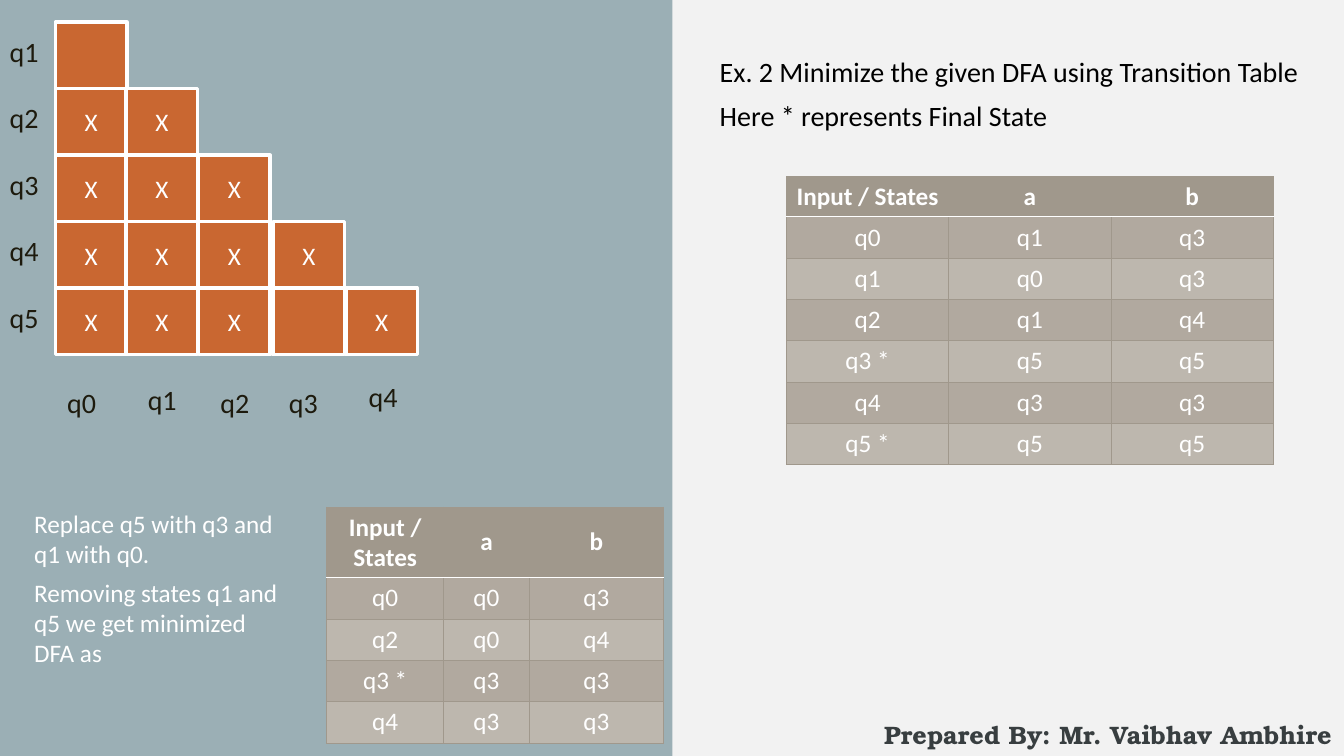
import lxml.etree
import pptx
import pptx.dml.color
import pptx.enum.shapes
import pptx.enum.text
import pptx.oxml.ns
import pptx.util

Inches = pptx.util.Inches
Pt = pptx.util.Pt
CENTER = pptx.enum.text.PP_ALIGN.CENTER
LEFT = pptx.enum.text.PP_ALIGN.LEFT
MIDDLE = pptx.enum.text.MSO_ANCHOR.MIDDLE


def color(value):
    return pptx.dml.color.RGBColor.from_string(value)


def write(frame, text, size=18, ink="FFFFFF", font="Calibri", bold=False,
          align=CENTER, before=0, after=0, line_spacing=None):
    """Fill a text frame, one paragraph per line of text."""
    for index, line in enumerate(text.split("\n")):
        paragraph = frame.paragraphs[0] if index == 0 else frame.add_paragraph()
        paragraph.alignment = align
        paragraph.space_before, paragraph.space_after = Pt(before), Pt(after)
        paragraph.line_spacing = line_spacing
        run = paragraph.add_run()
        run.text = line
        run.font.size, run.font.name, run.font.bold = Pt(size), font, bold
        run.font.color.rgb = color(ink)


def set_border(cell, side, ink, width):
    """Add one cell edge; side is L, R, T or B, in that order."""
    qn = pptx.oxml.ns.qn
    edge = lxml.etree.SubElement(cell._tc.get_or_add_tcPr(), qn(f"a:ln{side}"), w=str(Pt(width)))
    fill = lxml.etree.SubElement(edge, qn("a:solidFill"))
    lxml.etree.SubElement(fill, qn("a:srgbClr"), val=ink)


class Slide:
    PAPER, PANEL = "F2F2F2", "9BAFB5"
    MARK, WHITE, INK = "C96731", "FFFFFF", "1D1A0D"
    HEADER, BANDS = "A0988C", ("B1A99F", "BDB7AE")

    def __init__(self, presentation):
        self.slide = presentation.slides.add_slide(presentation.slide_layouts[6])
        self.slide.background.fill.solid()
        self.slide.background.fill.fore_color.rgb = color(self.PAPER)

    def box(self, left, top, width, height, fill, text="", line=None):
        shape = self.slide.shapes.add_shape(
            pptx.enum.shapes.MSO_SHAPE.RECTANGLE,
            Inches(left), Inches(top), Inches(width), Inches(height))
        shape.shadow.inherit = False
        shape.fill.solid()
        shape.fill.fore_color.rgb = color(fill)
        if line:
            shape.line.color.rgb = color(line)
            shape.line.width = Pt(2.5)
        else:
            shape.line.fill.background()
        if text:
            shape.text_frame.vertical_anchor = MIDDLE
            write(shape.text_frame, text)

    def text(self, left, top, width, height, text, wrap=True, **style):
        frame = self.slide.shapes.add_textbox(
            Inches(left), Inches(top), Inches(width), Inches(height)).text_frame
        frame.word_wrap = wrap
        write(frame, text, **style)

    def label(self, left, top, state):
        self.text(left, top, 0.5, 0.44, state, wrap=False, size=20, ink=self.INK)

    def table(self, left, top, widths, header_height, rows):
        row_height = 0.41
        height = header_height + row_height * (len(rows) - 1)
        table = self.slide.shapes.add_table(
            len(rows), len(widths), Inches(left), Inches(top),
            Inches(sum(widths)), Inches(height)).table
        for column, width in zip(table.columns, widths):
            column.width = Inches(width)
        for r, values in enumerate(rows):
            table.rows[r].height = Inches(row_height if r else header_height)
            for c, value in enumerate(values):
                cell = table.cell(r, c)
                cell.vertical_anchor = MIDDLE
                write(cell.text_frame, value, bold=r == 0)
                for side in "LRTB":
                    under_header = (r, side) in ((0, "B"), (1, "T"))
                    ink, width = (self.WHITE, 1) if under_header else (self.HEADER, 0.5)
                    set_border(cell, side, ink, width)
                cell.fill.solid()
                cell.fill.fore_color.rgb = color(self.BANDS[(r - 1) % 2] if r else self.HEADER)


def main():
    presentation = pptx.Presentation()
    presentation.slide_width = Inches(13.33)
    presentation.slide_height = Inches(7.5)
    slide = Slide(presentation)

    slide.text(8.64, 7.09, 4.7, 0.4, "Prepared By: Mr. Vaibhav Ambhire", wrap=False,
               font="TeX Gyre Bonum", ink="383E40", bold=True)
    slide.box(0, 0, 6.67, 7.5, Slide.PANEL)
    slide.text(7.04, 0.53, 6.07, 0.88,
               "Ex. 2 Minimize the given DFA using Transition Table\n"
               "Here * represents Final State",
               size=20, ink="000000", align=LEFT, before=10, line_spacing=0.9)

    header = ("Input / States", "a", "b")
    slide.table(7.8, 1.75, (1.61, 1.61, 1.61), 0.4, [
        header, ("q0", "q1", "q3"), ("q1", "q0", "q3"), ("q2", "q1", "q4"),
        ("q3 *", "q5", "q5"), ("q4", "q3", "q3"), ("q5 *", "q5", "q5")])

    column_lefts = (0.55, 1.25, 1.97, 2.71, 3.43)
    equivalent_pairs = {("q1", "q0"), ("q5", "q3")}
    cell_height = 0.66
    for row in range(5):
        top = 0.22 + row * cell_height
        row_state = f"q{row + 1}"
        slide.label(-0.01, top + 0.07, row_state)
        for column in range(row + 1):
            mark = "" if (row_state, f"q{column}") in equivalent_pairs else "X"
            slide.box(column_lefts[column], top, 0.71, cell_height,
                      Slide.MARK, mark, Slide.WHITE)

    column_labels = ((0.56, 3.78), (1.36, 3.75), (2.08, 3.78), (2.76, 3.78), (3.55, 3.72))
    for number, (left, top) in enumerate(column_labels):
        slide.label(left, top, f"q{number}")

    slide.text(0.24, 4.99, 2.7, 1.7,
               "Replace q5 with q3 and q1 with q0.\n"
               "Removing states q1 and q5 we get minimized DFA as",
               align=LEFT, before=3, after=3)
    slide.table(3.24, 5.03, (1.16, 0.85, 1.33), 0.69, [
        header, ("q0", "q0", "q3"), ("q2", "q0", "q4"),
        ("q3 *", "q3", "q3"), ("q4", "q3", "q3")])

    presentation.save("out.pptx")


if __name__ == "__main__":
    main()
